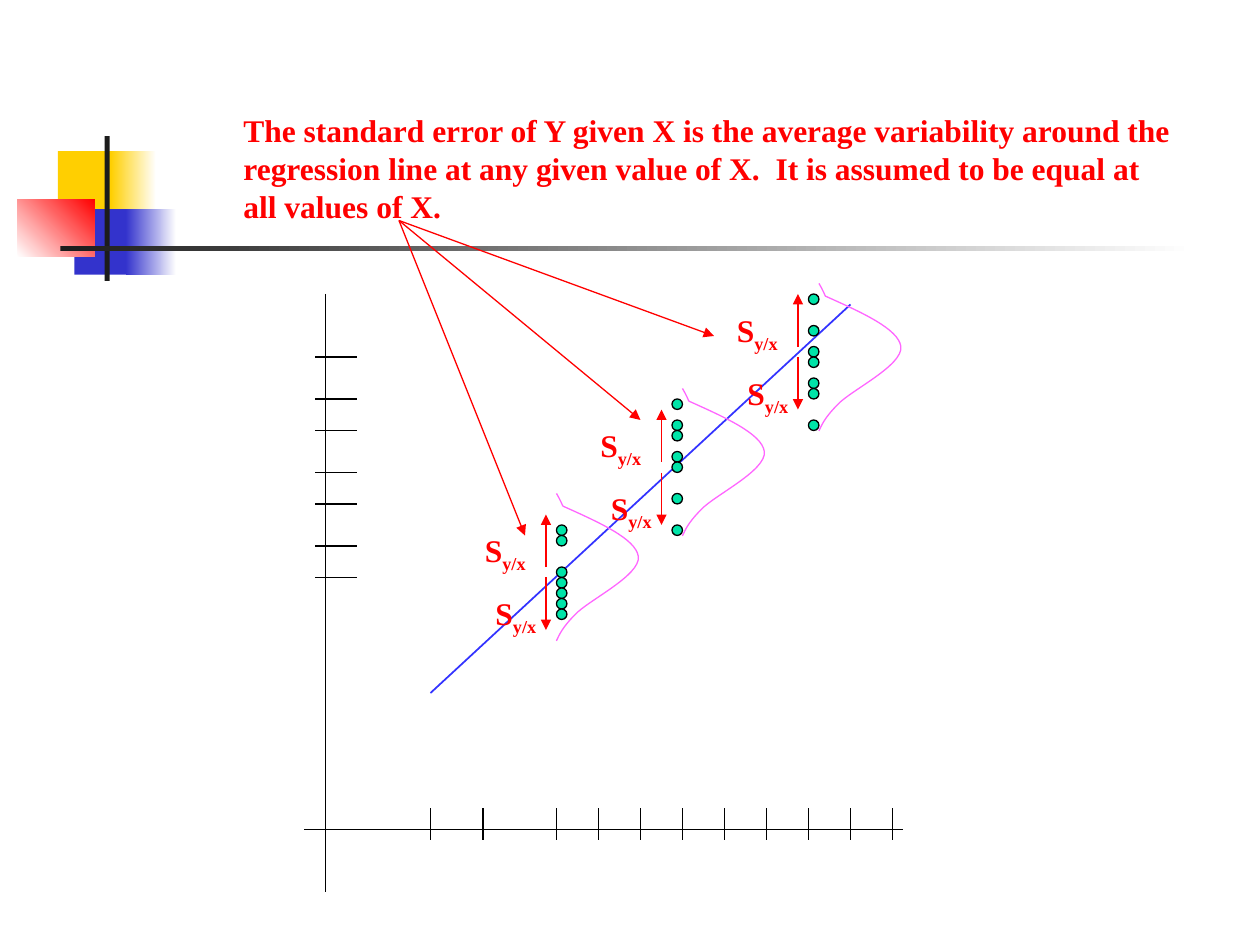
from lxml import etree
from pptx import Presentation
from pptx.dml import color
from pptx.enum import shapes, text
from pptx.oxml import ns
from pptx.util import Inches, Pt

COLORS = {
    "yellow": "FFCF01", "blue": "3333CC", "red": "FF0000", "dark": "1C1C1C",
    "white": "FFFFFF", "axis": "000000", "regression": "3333FF",
    "dot": "00E4A8", "curve": "FF66FF",
}
RGB = {name: color.RGBColor.from_string(value) for name, value in COLORS.items()}
GRID = Inches(1) / 12

presentation = Presentation()
presentation.slide_width = Inches(10)
presentation.slide_height = Inches(7.5)
slide = presentation.slides.add_slide(presentation.slide_layouts[6])


def add_line(x1, y1, x2, y2, ink="axis", width=0.75, arrow=False):
    ends = [round(value * GRID) for value in (x1, y1, x2, y2)]
    line = slide.shapes.add_connector(shapes.MSO_CONNECTOR.STRAIGHT, *ends)
    line.line.color.rgb = RGB[ink]
    line.line.width = Pt(width)
    if arrow:
        etree.SubElement(line.line._get_or_add_ln(), ns.qn("a:tailEnd"), type="triangle")
    etree.SubElement(line._element.spPr, ns.qn("a:effectLst"))


def add_text(x, y, width, height, main, subscript=""):
    box = slide.shapes.add_textbox(
        round(x * GRID), round(y * GRID), Inches(width), Inches(height))
    frame = box.text_frame
    frame.word_wrap = True
    frame.auto_size = text.MSO_AUTO_SIZE.SHAPE_TO_FIT_TEXT
    paragraph = frame.paragraphs[0]
    for part in filter(None, (main, subscript)):
        run = paragraph.add_run()
        run.text = part
        run.font.name = "Times New Roman"
        run.font.size = Pt(18)
        run.font.bold = True
        run.font.color.rgb = RGB["red"]
        if part == subscript:
            run.font._element.set("baseline", "-25000")


decorations = [
    (0.46, 1.2, 0.48, 0.52, ["yellow"], 0),
    (0.88, 1.2, 0.36, 0.52, ["yellow", "white"], 0),
    (0.59, 1.66, 0.46, 0.52, ["blue"], 0),
    (1, 1.66, 0.4, 0.52, ["blue", "white"], 0),
    (0.14, 1.58, 0.61, 0.46, ["white", "red"], 45),
    (0.83, 1.08, 0.04, 1.15, ["dark"], 0),
    (0.48, 1.95, 9, 0.04, ["dark", "white"], 0),
]
for left, top, width, height, inks, angle in decorations:
    block = slide.shapes.add_shape(
        shapes.MSO_SHAPE.RECTANGLE, Inches(left), Inches(top), Inches(width), Inches(height))
    block.shadow.inherit = False
    block.line.fill.background()
    if len(inks) == 1:
        block.fill.solid()
        block.fill.fore_color.rgb = RGB[inks[0]]
    else:
        block.fill.gradient()
        block.fill.gradient_angle = angle
        for stop, ink in zip(block.fill.gradient_stops, inks):
            stop.color.rgb = RGB[ink]

add_line(31, 28, 31, 85)
add_line(41, 66, 81, 29, "regression", 1)
add_line(29, 79, 86, 79)
for x in (41, 46, *range(53, 86, 4)):
    add_line(x, 77, x, 80)
for y in (34, 38, 41, 45, 48, 52, 55):
    add_line(30, y, 34, y)

bell_parts = [
    [(0.05, 0.1), (0.34, 0.23), (0.63, 0.36), (0.65, 0.5), (0.67, 0.65), (0.25, 0.85),
     (0.15, 0.96), (0.04, 1.07), (0.02, 1.13), (0, 1.17)],
    [(0.05, 0.1), (0.05, 0.1), (0.03, 0.05), (0, 0)],
]
clusters = [
    (76, 28, 78, 27, (28, 31, 33, 34, 36, 37, 40)),
    (63, 39, 65, 37, (38, 40, 41, 43, 44, 47, 50)),
    (52, 49, 53, 47, (50, 51, 54, 55, 56, 57, 58)),
]
for arrow_x, top, bell_x, bell_y, dot_tops in clusters:
    for dot_top in dot_tops:
        dot = slide.shapes.add_shape(
            shapes.MSO_SHAPE.OVAL, round((arrow_x + 1) * GRID), round(dot_top * GRID),
            round(GRID), round(GRID))
        dot.shadow.inherit = False
        dot.fill.solid()
        dot.fill.fore_color.rgb = RGB["dot"]
        dot.line.color.rgb = RGB["axis"]
        dot.line.width = Pt(0.75)

    for bell_part in bell_parts:
        start, *controls = [(round(bell_x * GRID) + Inches(x), round(bell_y * GRID) + Inches(y))
                            for x, y in bell_part]
        outline = slide.shapes.build_freeform(*start)
        outline.add_line_segments(controls, close=False)
        curve = outline.convert_to_shape()
        segments = list(curve._element.iter(ns.qn("a:lnTo")))
        for first in range(0, len(segments), 3):
            bezier = etree.SubElement(segments[first].getparent(), ns.qn("a:cubicBezTo"))
            for segment in segments[first:first + 3]:
                bezier.append(segment[0])
                segment.getparent().remove(segment)
        curve.shadow.inherit = False
        curve.fill.background()
        curve.line.color.rgb = RGB["curve"]
        curve.line.width = Pt(0.75)

    add_line(arrow_x, top + 5, arrow_x, top, "red", arrow=True)
    add_text(arrow_x - 7, top + 1, 0.83, 0.44, "S", "y/x")
    add_line(arrow_x, top + 6, arrow_x, top + 11, "red", arrow=True)
    add_text(arrow_x - 6, top + 7, 0.83, 0.44, "S", "y/x")

add_text(22, 10, 7.58, 1,
         "The standard error of Y given X is the average variability around the "
         "regression line at any given value of X.  It is assumed to be equal at "
         "all values of X.")
for x, y in ((68, 32), (61, 40), (50, 51)):
    add_line(38, 21, x, y, "red", arrow=True)

presentation.save("out.pptx")
